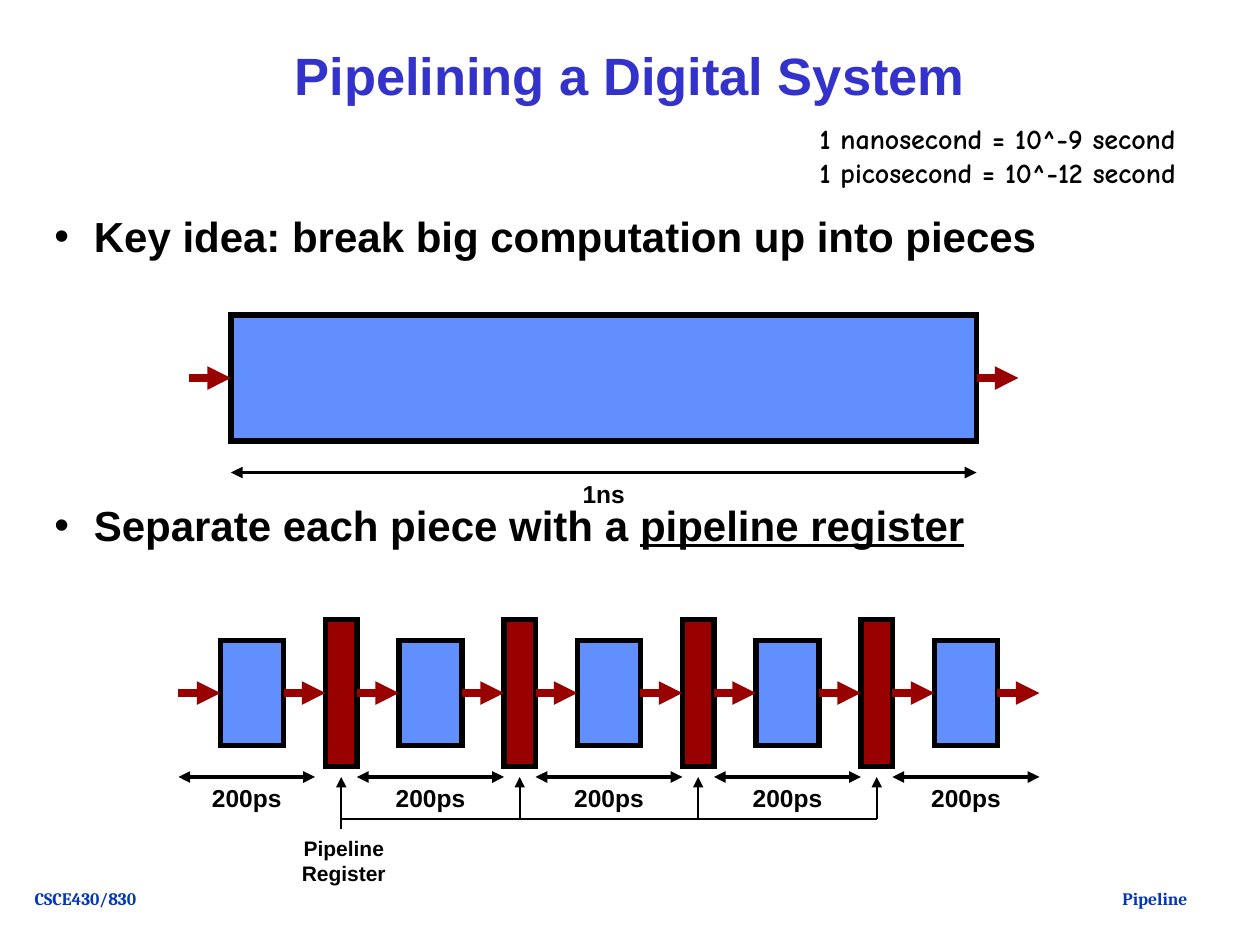
from itertools import pairwise

from lxml import etree
from pptx import Presentation
from pptx import util as u
from pptx.dml.color import RGBColor
from pptx.enum import shapes, text
from pptx.oxml import ns

PX = 9525
BLACK = RGBColor(0x00, 0x00, 0x00)
TITLE_BLUE = RGBColor(0x33, 0x33, 0xCC)
FOOTER_BLUE = RGBColor(0x02, 0x37, 0xBC)
STAGE_BLUE = RGBColor(0x61, 0x8F, 0xFD)
DARK_RED = RGBColor(0x99, 0x00, 0x00)
LEFT, RIGHT = 1, 3
STAGES, PITCH, ARROW = 5, 136, 32
MIDDLE, SPAN_Y, BUS_Y = 528, 592, 624


def px(*lengths):
    """Turn pixel lengths into EMU."""
    return [u.Emu(length * PX) for length in lengths]


def add_text(slide, box, wording, size, color=BLACK, font="Arial", wrap=False,
             align=text.PP_ALIGN.CENTER, anchor=text.MSO_ANCHOR.MIDDLE):
    """Add a bold text box and return its text frame."""
    frame = slide.shapes.add_textbox(*px(*box)).text_frame
    frame.word_wrap = wrap
    frame.vertical_anchor = anchor
    frame.text = wording
    for paragraph in frame.paragraphs:
        paragraph.alignment = align
        for run in paragraph.runs:
            run.font.name = font
            run.font.size = u.Pt(size)
            run.font.bold = True
            run.font.color.rgb = color
    return frame


def add_box(slide, box, fill):
    """Add a filled rectangle with a sharp black outline."""
    shape = slide.shapes.add_shape(shapes.MSO_SHAPE.RECTANGLE, *px(*box))
    shape.shadow.inherit = False
    shape.fill.solid()
    shape.fill.fore_color.rgb = fill
    shape.line.color.rgb = BLACK
    shape.line.width = u.Pt(3)
    outline = shape.line._get_or_add_ln()
    etree.SubElement(outline, ns.qn("a:miter"), lim="800000")
    return shape


def add_line(slide, ends, color, width, heads=()):
    """Add a straight line with triangles at the named ends."""
    line = slide.shapes.add_connector(shapes.MSO_CONNECTOR.STRAIGHT, *px(*ends))
    line.line.color.rgb = color
    line.line.width = u.Pt(width)
    outline = line.line._get_or_add_ln()
    for head in heads:
        etree.SubElement(outline, ns.qn(f"a:{head}"), type="triangle")
    etree.SubElement(line._element.spPr, ns.qn("a:effectLst"))
    return line


def add_flow(slide, boxes, start, end, y):
    """Run red arrows into, between and out of a row of boxes."""
    def arrow(x):
        return add_line(slide, (x, y, x + ARROW, y), DARK_RED, 4.5, ["tailEnd"])

    arrow(start).end_connect(boxes[0], LEFT)
    for before, after in pairwise(boxes):
        link = arrow(start)
        link.begin_connect(before, RIGHT)
        link.end_connect(after, LEFT)
    arrow(end - ARROW).begin_connect(boxes[-1], RIGHT)


def add_span(slide, start, end, y, label):
    """Add a double-headed time span with its label below."""
    add_line(slide, (start, y, end, y), BLACK, 2.25, ["headEnd", "tailEnd"])
    add_text(slide, ((start + end) // 2 - 36, y, 72, 32), label, 14)


def add_bullets(slide):
    """Add the two key points, leaving room for the first diagram."""
    frame = add_text(
        slide, (32, 160, 848, 480),
        "Key idea: break big computation up into pieces\nSeparate each piece with a ",
        24, wrap=True, align=text.PP_ALIGN.LEFT, anchor=text.MSO_ANCHOR.TOP)
    first, second = frame.paragraphs
    second.space_before = u.Pt(139)
    term = second.add_run()
    term.text = "pipeline register"
    term.font.name = "Arial"
    term.font.size = u.Pt(24)
    term.font.bold = term.font.underline = True
    term.font.color.rgb = BLACK
    for paragraph in (first, second):
        paragraph.line_spacing = 0.9
        properties = paragraph._p.get_or_add_pPr()
        properties.set("marL", str(30 * PX))
        properties.set("indent", str(-30 * PX))
        etree.SubElement(properties, ns.qn("a:buFont"), typeface="Arial")
        etree.SubElement(properties, ns.qn("a:buChar"), char="•")


def add_single_block(slide):
    """Draw the computation as one block."""
    block = add_box(slide, (176, 240, 568, 96), STAGE_BLUE)
    add_flow(slide, [block], 144, 776, 288)
    add_span(slide, 176, 744, 360, "1ns")


def add_pipeline(slide):
    """Draw the stages, the registers between them and their timing."""
    boxes = []
    for index in range(STAGES):
        offset = index * PITCH
        boxes.append(add_box(slide, (168 + offset, 488, 48, 80), STAGE_BLUE))
        if index < STAGES - 1:
            boxes.append(add_box(slide, (248 + offset, 472, 24, 112), DARK_RED))
        start = 136 + offset
        end = start + (104 if index == 0 else 112)
        add_span(slide, start, end, SPAN_Y, "200ps")
    add_flow(slide, boxes, 136, 792, MIDDLE)


def add_register_callout(slide):
    """Point one label at every pipeline register."""
    centers = [260 + index * PITCH for index in range(STAGES - 1)]
    for center in centers:
        bottom = BUS_Y + 8 if center == centers[0] else BUS_Y
        add_line(slide, (center, bottom, center, SPAN_Y), BLACK, 1, ["tailEnd"])
    add_line(slide, (centers[0], BUS_Y, centers[-1], BUS_Y), BLACK, 1)
    add_text(slide, (212, 632, 100, 48), "Pipeline\nRegister", 12)


def main():
    """Build and save the slide."""
    presentation = Presentation()
    presentation.slide_width, presentation.slide_height = px(960, 720)
    slide = presentation.slides.add_slide(presentation.slide_layouts[6])
    add_text(slide, (843, 672, 74, 25), "Pipeline", 10, FOOTER_BLUE, "Cambria")
    add_text(slide, (14, 672, 102, 25), "CSCE430/830", 10, FOOTER_BLUE, "Cambria")
    title = add_text(slide, (104, 0, 752, 120), "Pipelining a Digital System",
                     30, TITLE_BLUE, wrap=True)
    title.paragraphs[0].line_spacing = 0.9
    add_bullets(slide)
    add_single_block(slide)
    add_pipeline(slide)
    add_register_callout(slide)
    add_text(slide, (615, 88, 291, 61),
             "1 nanosecond = 10^-9 second\n1 picosecond = 10^-12 second", 16,
             font="Comic Neue", align=text.PP_ALIGN.LEFT, anchor=text.MSO_ANCHOR.TOP)
    presentation.save("out.pptx")


if __name__ == "__main__":
    main()
